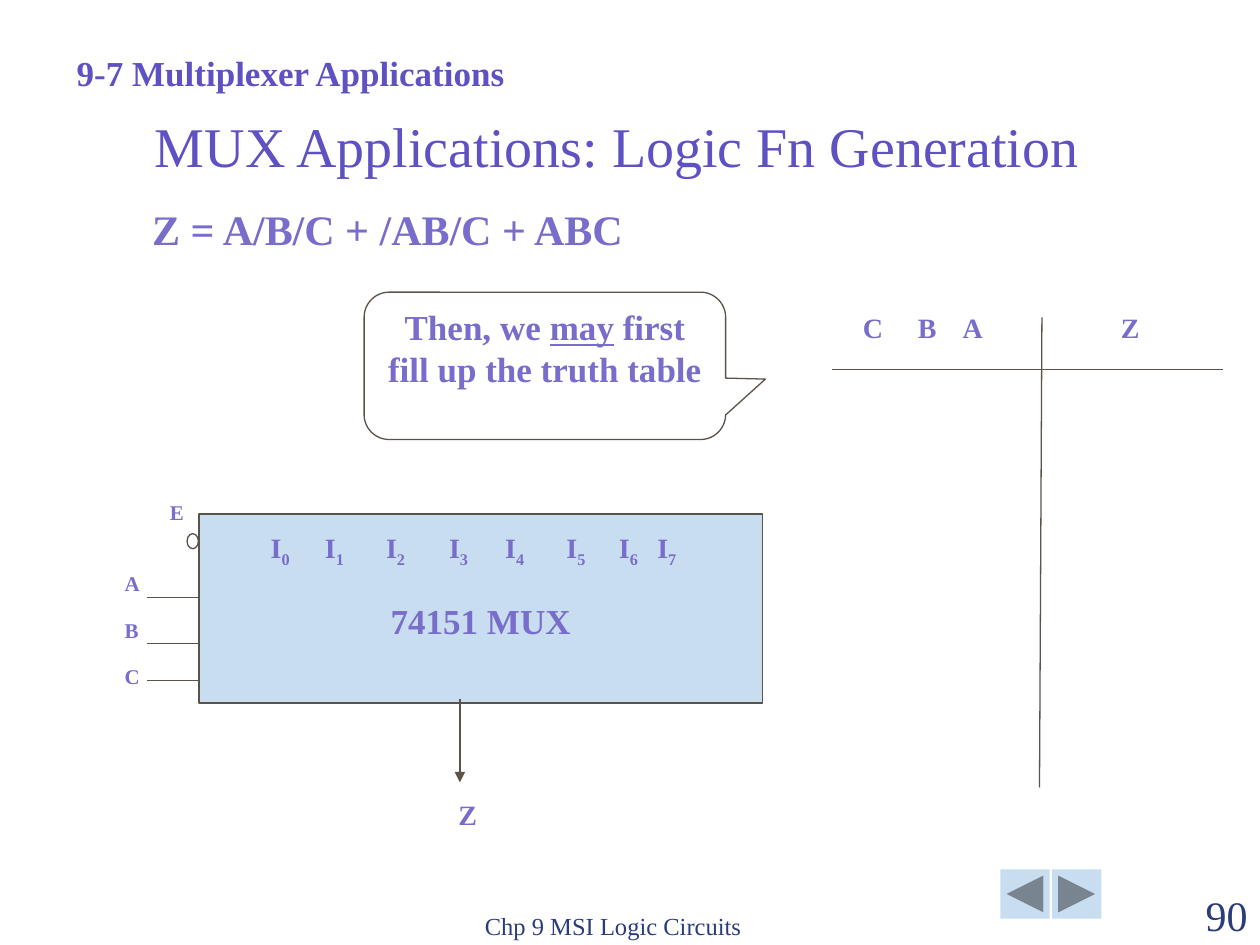
from lxml.etree import SubElement
from pptx import Presentation
from pptx.dml.color import RGBColor
from pptx.enum.shapes import MSO_CONNECTOR, MSO_SHAPE
from pptx.enum.text import MSO_ANCHOR, PP_ALIGN
from pptx.oxml.ns import qn
from pptx.util import Pt

FONT = "Times New Roman"
COLORS = {
    "heading": "5E51C1",
    "label": "786DCB",
    "footer": "2A3D7A",
    "panel": "C9DDF1",
    "line": "5B5249",
}


def color(name):
    return RGBColor.from_string(COLORS[name])


def add_run(p, text, size, name="label", bold=True, underline=None, subscript=False):
    r = p.add_run()
    r.text = text
    r.font.name = FONT
    r.font.size = Pt(size)
    r.font.bold = bold
    r.font.underline = underline
    r.font.color.rgb = color(name)
    if subscript:
        r.font._element.set("baseline", "-25000")


def add_tabs(p, stops):
    tabs = SubElement(p._p.get_or_add_pPr(), qn("a:tabLst"))
    for stop in stops:
        SubElement(tabs, qn("a:tab"), pos=str(Pt(stop)), algn="l")


def add_box(slide, x, y, w, h, wrap=True, anchor=MSO_ANCHOR.TOP):
    tf = slide.shapes.add_textbox(Pt(x), Pt(y), Pt(w), Pt(h)).text_frame
    tf.word_wrap = wrap
    tf.vertical_anchor = anchor
    return tf


def add_label(slide, text, x, y, w, h, size, name="label", bold=True,
              wrap=True, anchor=MSO_ANCHOR.TOP, align=PP_ALIGN.LEFT):
    p = add_box(slide, x, y, w, h, wrap, anchor).paragraphs[0]
    p.alignment = align
    add_run(p, text, size, name, bold)


def add_shape(slide, kind, x, y, w, h, fill=None, outlined=True):
    sp = slide.shapes.add_shape(kind, Pt(x), Pt(y), Pt(w), Pt(h))
    sp.shadow.inherit = False
    if fill:
        sp.fill.solid()
        sp.fill.fore_color.rgb = color(fill)
    else:
        sp.fill.background()
    if outlined:
        sp.line.color.rgb = color("line")
        sp.line.width = Pt(0.75)
    else:
        sp.line.fill.background()
    return sp


def add_line(slide, x1, y1, x2, y2, width=0.75, arrow=False):
    c = slide.shapes.add_connector(
        MSO_CONNECTOR.STRAIGHT, Pt(x1), Pt(y1), Pt(x2), Pt(y2))
    c.line.color.rgb = color("line")
    c.line.width = Pt(width)
    if arrow:
        SubElement(c.line._get_or_add_ln(), qn("a:tailEnd"), type="triangle")
    SubElement(c._element.spPr, qn("a:effectLst"))


def add_multiplexer(slide):
    # Body, with its name a little below the middle
    body = add_shape(slide, MSO_SHAPE.RECTANGLE, 113.8, 293.8, 321.8, 108, "panel")
    tf = body.text_frame
    tf.word_wrap = False
    tf.vertical_anchor = MSO_ANCHOR.MIDDLE
    tf.margin_top = Pt(17.6)
    p = tf.paragraphs[0]
    p.alignment = PP_ALIGN.CENTER
    add_run(p, "74151 MUX", 20)

    # Data inputs
    p = add_box(slide, 147.6, 299.5, 288, 26.6).paragraphs[0]
    add_tabs(p, [31, 66, 102, 134, 169, 199, 221])
    for i in range(8):
        add_run(p, "\tI" if i else "I", 16)
        add_run(p, str(i), 16, subscript=True)

    # Enable input
    bubble = add_shape(slide, MSO_SHAPE.OVAL, 105.8, 306, 8.6, 6.5)
    bubble.rotation = 90
    add_label(slide, "E", 90, 282.2, 22.3, 21.6, 12, wrap=False)

    # Select inputs
    for y in (341.3, 367.9, 388.8):
        add_line(slide, 113.8, y, 84.2, y)
    tf = add_box(slide, 64.1, 316.8, 23, 82.1, wrap=False)
    for i, name in enumerate("ABC"):
        p = tf.add_paragraph() if i else tf.paragraphs[0]
        p.line_spacing = 1.4
        if i:
            p.space_before = Pt(6.5)
        add_run(p, name, 12)

    # Output
    add_line(slide, 262.8, 399.6, 262.8, 447.1, 1.5, arrow=True)
    add_label(slide, "Z", 254.9, 452.2, 25.2, 26.6, 16, wrap=False)


def add_truth_table_frame(slide):
    add_line(slide, 475.2, 211, 699.1, 211)
    add_line(slide, 595.4, 181.4, 594, 450)
    p = add_box(slide, 486, 174.2, 187.2, 26.6).paragraphs[0]
    add_tabs(p, [31.5, 57, 147.5])
    add_run(p, "C\tB\tA\tZ", 16)


def add_callout(slide):
    sp = add_shape(slide, MSO_SHAPE.ROUNDED_RECTANGULAR_CALLOUT,
                   208.1, 167, 206.6, 84.2)
    for i, value in enumerate((0.61, 0.09, 0.17)):
        sp.adjustments[i] = value
    tf = sp.text_frame
    tf.word_wrap = True
    tf.vertical_anchor = MSO_ANCHOR.TOP
    p = tf.paragraphs[0]
    p.alignment = PP_ALIGN.CENTER
    add_run(p, "Then, we ", 20)
    add_run(p, "may", 20, underline=True)
    add_run(p, " first fill up the truth table", 20)


def add_footer(slide):
    for kind, x in ((MSO_SHAPE.ACTION_BUTTON_BACK_OR_PREVIOUS, 571.7),
                    (MSO_SHAPE.ACTION_BUTTON_FORWARD_OR_NEXT, 601.2)):
        add_shape(slide, kind, x, 496.8, 28.1, 28.1, "panel", outlined=False)
    add_label(slide, "Chp 9 MSI Logic Circuits", 270, 504.7, 228.2, 36, 14,
              "footer", bold=False, anchor=MSO_ANCHOR.BOTTOM)
    add_label(slide, "90", 648, 504.7, 72, 36, 24, "footer", bold=False,
              anchor=MSO_ANCHOR.BOTTOM, align=PP_ALIGN.RIGHT)


def main():
    prs = Presentation()
    prs.slide_width, prs.slide_height = Pt(720), Pt(540)
    s = prs.slides.add_slide(prs.slide_layouts[6])

    add_footer(s)
    add_multiplexer(s)
    add_truth_table_frame(s)
    add_callout(s)

    # Headings and the function to generate
    add_label(s, "9-7 Multiplexer Applications", 36.7, 25.9, 260.6, 31, 20, "heading")
    add_label(s, "MUX Applications: Logic Fn Generation", 81.4, 56.9, 579.6, 49,
              32, "heading", bold=False, anchor=MSO_ANCHOR.BOTTOM)
    add_label(s, "Z = A/B/C + /AB/C + ABC", 79.9, 113, 285.8, 36, 24, wrap=False)

    prs.save("out.pptx")


if __name__ == "__main__":
    main()
